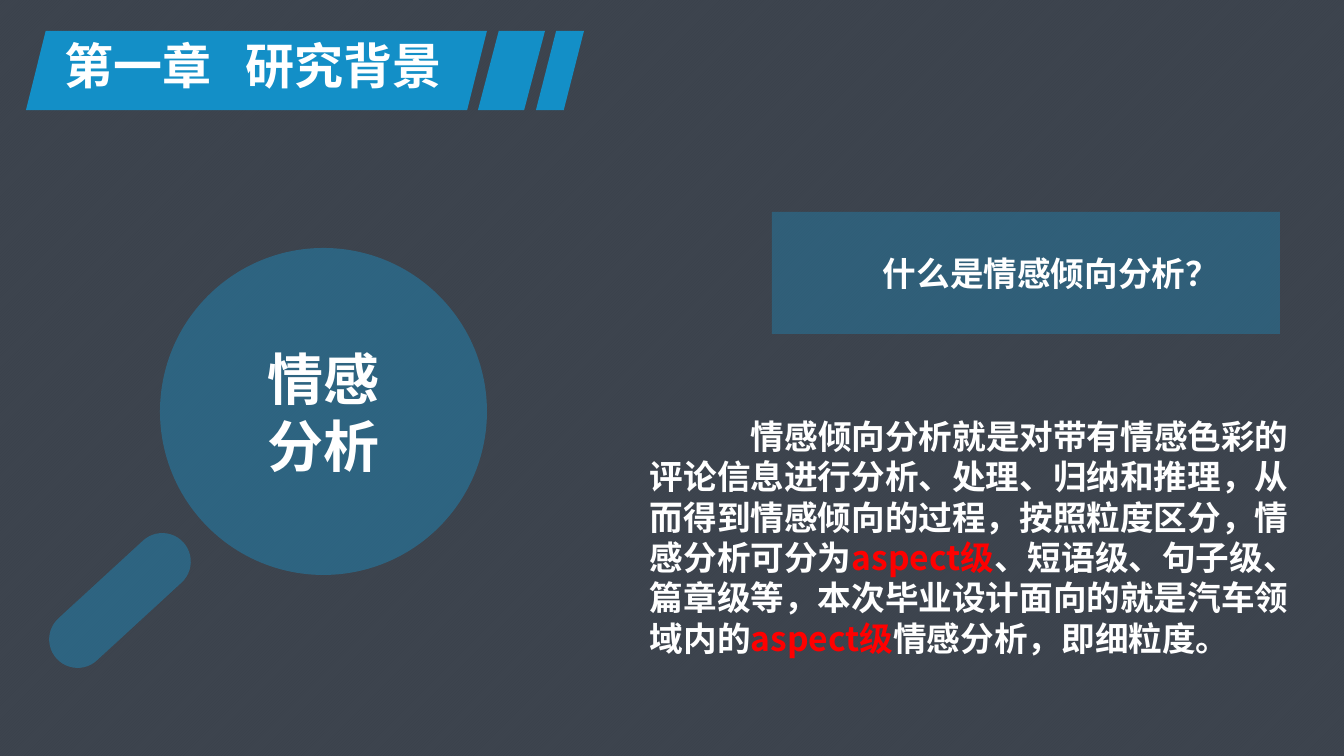
from dataclasses import dataclass
from lxml.etree import SubElement
from pptx import Presentation
from pptx.dml.color import RGBColor
from pptx.enum.dml import MSO_PATTERN
from pptx.enum.shapes import MSO_SHAPE
from pptx.enum.text import MSO_ANCHOR, MSO_AUTO_SIZE, PP_ALIGN
from pptx.oxml.ns import qn
from pptx.util import Pt

WIDE, HIGH = 1344, 756
SCALE = 12192000 / WIDE


@dataclass(frozen=True)
class Theme:
    font: str = "Noto Sans CJK SC"
    white: str = "FFFFFF"
    red: str = "FF0000"
    blue: str = "138FC7"
    glass: str = "159FDD"
    dark: str = "222A35"
    line: str = "BFBFBF"
    base: str = "DDDCE2"
    title: int = 35
    lens: int = 40
    body: int = 24


theme = Theme()

TITLE = "第一章\t研究背景"
LENS = ["情感", "分析"]
ASK = "什么是情感倾向分析？"
BODY = [
    ("情感倾向分析就是对带有情感色彩的评论信息进行分析、处理、归纳和推理，"
     "从而得到情感倾向的过程，按照粒度区分，情感分析可分为", theme.white),
    ("aspect级", theme.red),
    ("、短语级、句子级、篇章级等，本次毕业设计面向的就是汽车领域内的", theme.white),
    ("aspect级", theme.red),
    ("情感分析，即细粒度。", theme.white),
]
BANNER = [
    ((26, 31, 461, 79), 0.25),
    ((478, 31, 67, 79), 0.31),
    ((536, 31, 48, 79), 0.42),
]
INDENT = 101
TITLE_TAB = 181


def px(num):
    return round(num * SCALE)


def add_form(shapes, kind, box, color, alpha=100):
    form = shapes.add_shape(kind, *map(px, box))
    form.shadow.inherit = False
    form.line.fill.background()
    form.fill.solid()
    form.fill.fore_color.rgb = RGBColor.from_string(color)
    if alpha < 100:
        tone = form.fill._xPr.find(qn("a:solidFill"))[0]
        SubElement(tone, qn("a:alpha"), val=str(alpha * 1000))
    return form


def add_box(shapes, box):
    frame = shapes.add_textbox(*map(px, box)).text_frame
    frame.word_wrap = True
    frame.auto_size = MSO_AUTO_SIZE.SHAPE_TO_FIT_TEXT
    return frame


def style(run, size, color=theme.white):
    font = run.font
    font.size = Pt(size)
    font.bold = True
    font.color.rgb = RGBColor.from_string(color)
    font.name = theme.font
    SubElement(run._r.get_or_add_rPr(), qn("a:ea"), typeface=theme.font)


def indent(para):
    para._p.get_or_add_pPr().set("indent", str(px(INDENT)))
    para.alignment = PP_ALIGN.LEFT


def add_title(shapes):
    for box, slant in BANNER:
        form = add_form(shapes, MSO_SHAPE.PARALLELOGRAM, box, theme.blue)
        form.adjustments[0] = slant
    para = add_box(shapes, (55, 31, 411, 70)).paragraphs[0]
    stops = SubElement(para._p.get_or_add_pPr(), qn("a:tabLst"))
    SubElement(stops, qn("a:tab"), pos=str(px(TITLE_TAB)), algn="l")
    para.text = TITLE
    style(para.runs[0], theme.title)


def add_lens(shapes):
    group = shapes.add_group_shape().shapes
    lens = add_form(group, MSO_SHAPE.OVAL, (160, 248, 327, 327), theme.glass, 36)
    frame = lens.text_frame
    frame.text = "\n".join(LENS)
    frame.vertical_anchor = MSO_ANCHOR.MIDDLE
    for para in frame.paragraphs:
        para.alignment = PP_ALIGN.CENTER
        style(para.runs[0], theme.lens)
    grip = add_form(group, MSO_SHAPE.ROUNDED_RECTANGLE, (34, 572, 172, 57),
                    theme.glass, 36)
    grip.adjustments[0] = 0.5
    grip.rotation = 317.4


def add_ask(shapes):
    panel = add_form(shapes, MSO_SHAPE.RECTANGLE, (772, 212, 508, 122),
                     theme.glass, 30)
    frame = panel.text_frame
    frame.text = ASK
    frame.vertical_anchor = MSO_ANCHOR.MIDDLE
    para = frame.paragraphs[0]
    indent(para)
    style(para.runs[0], theme.body)


def add_body(shapes):
    para = add_box(shapes, (640, 411, 685, 254)).paragraphs[0]
    indent(para)
    for text, color in BODY:
        run = para.add_run()
        run.text = text
        style(run, theme.body, color)


def main():
    deck = Presentation()
    deck.slide_width, deck.slide_height = px(WIDE), px(HIGH)
    slide = deck.slides.add_slide(deck.slide_layouts[6])
    back = slide.background.fill
    back.patterned()
    back.pattern = MSO_PATTERN.LIGHT_UPWARD_DIAGONAL
    back.fore_color.rgb = RGBColor.from_string(theme.line)
    back.back_color.rgb = RGBColor.from_string(theme.base)
    shapes = slide.shapes
    add_form(shapes, MSO_SHAPE.RECTANGLE, (0, 0, WIDE, HIGH), theme.dark, 85)
    add_title(shapes)
    add_ask(shapes)
    add_lens(shapes)
    add_body(shapes)
    deck.save("out.pptx")


if __name__ == "__main__":
    main()
